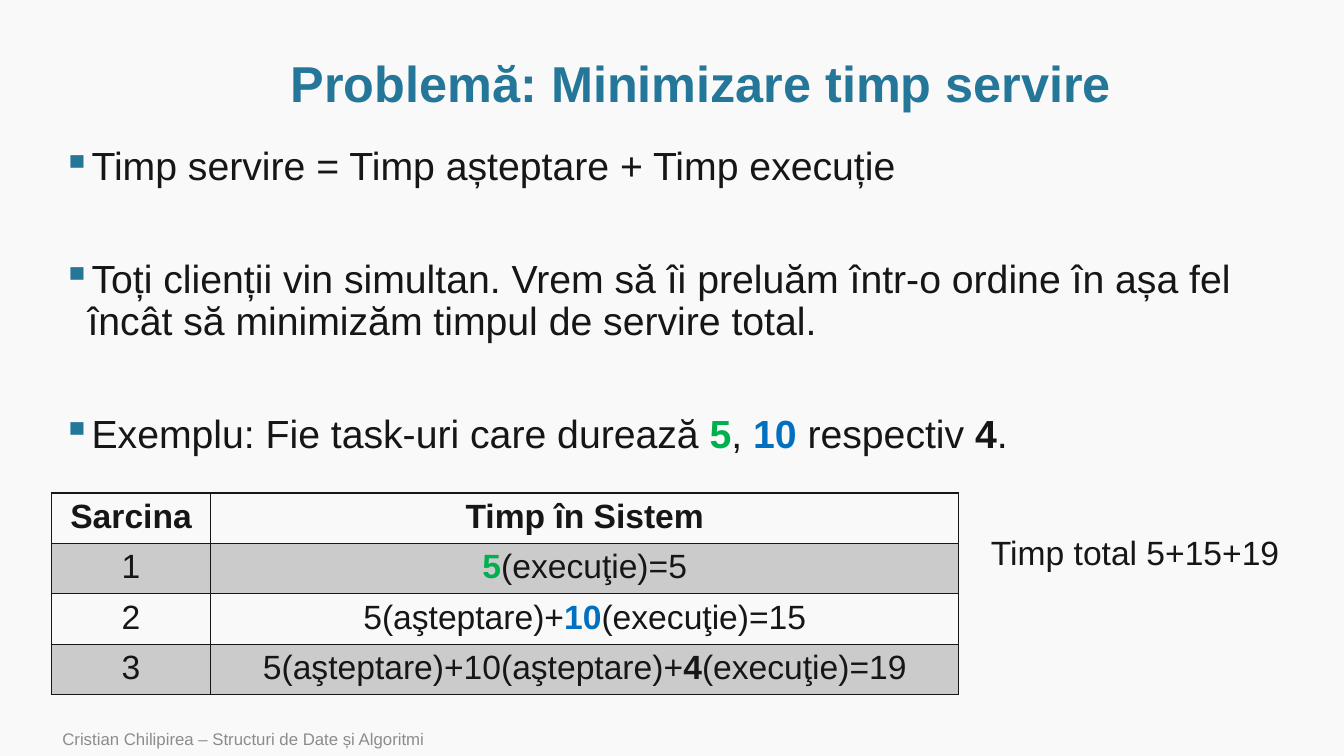
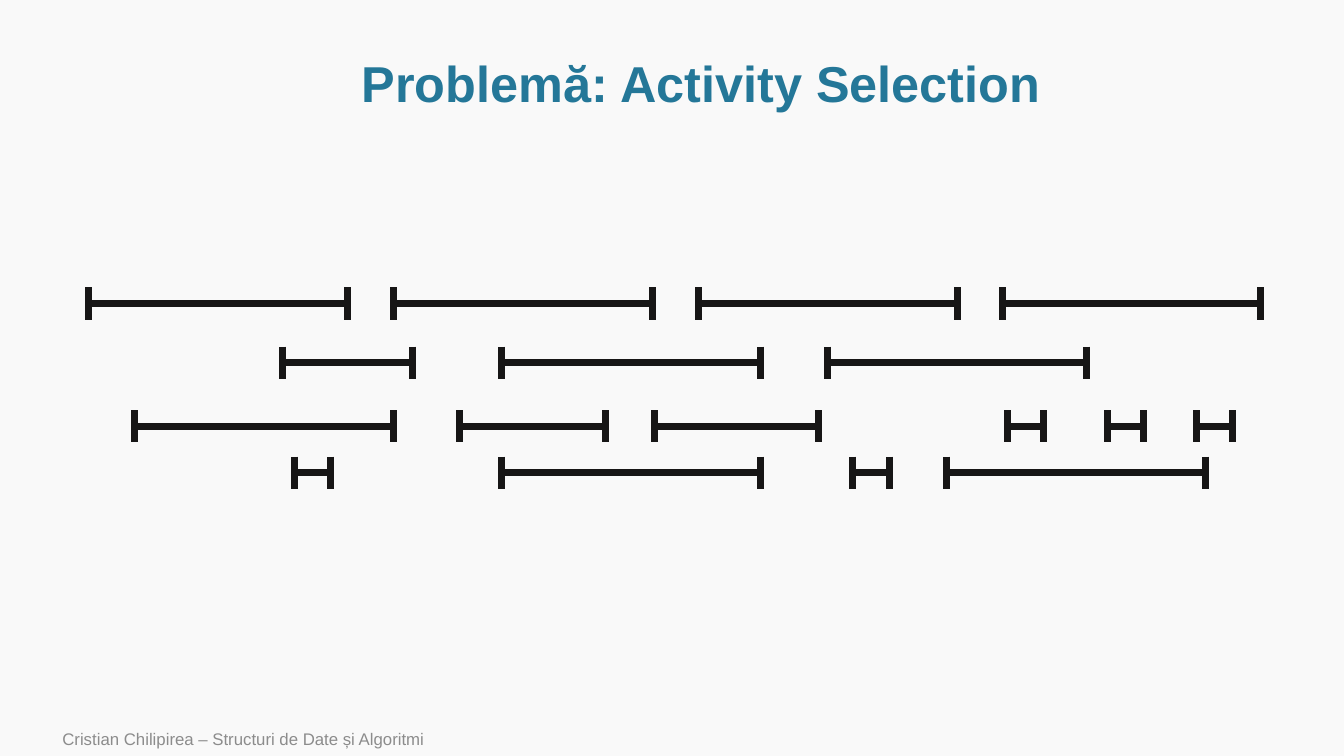
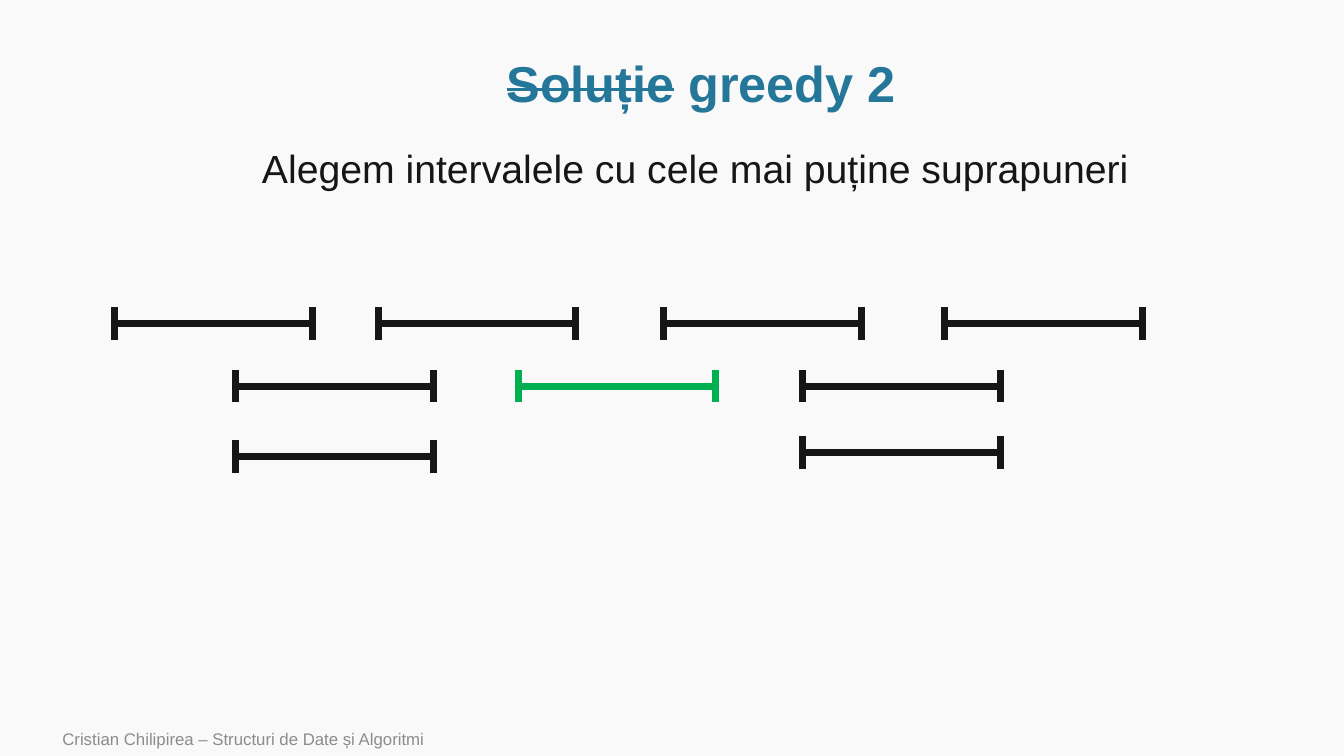
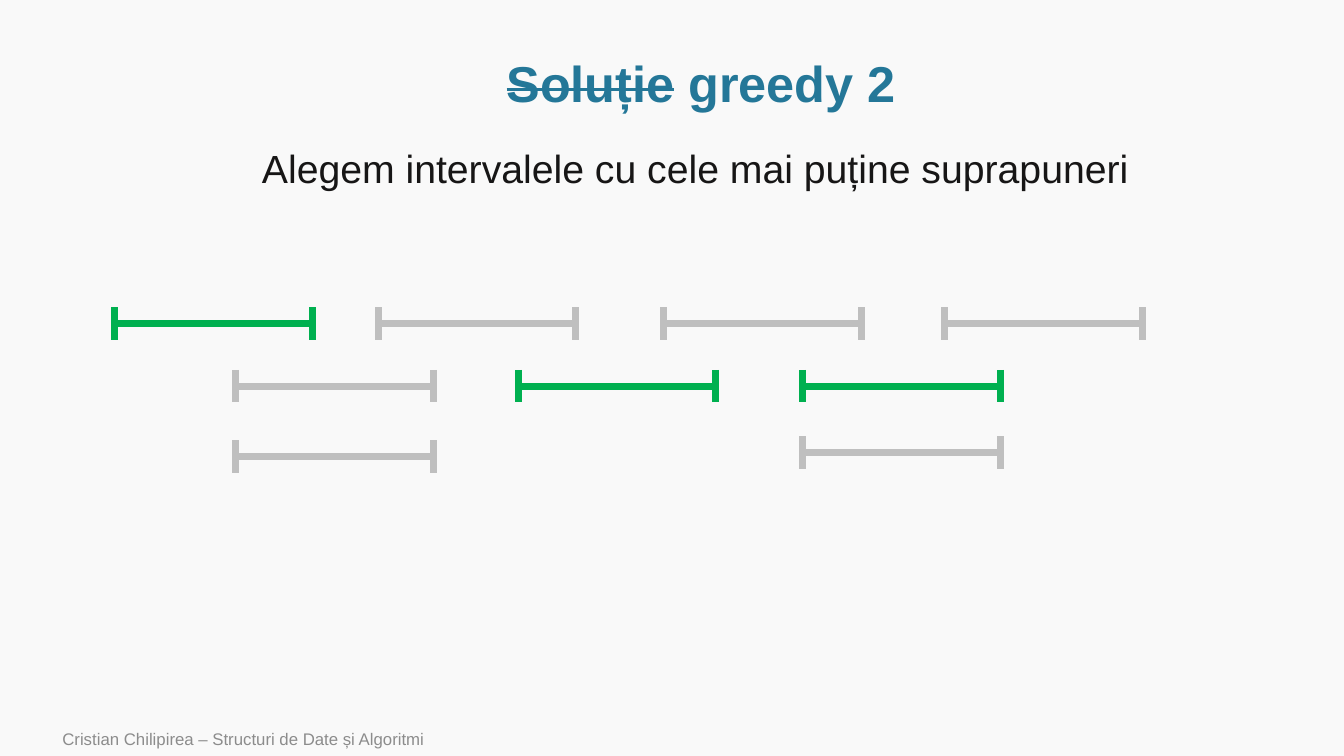
from lxml import etree
from pptx import Presentation
from pptx.dml.color import RGBColor
from pptx.enum.shapes import MSO_CONNECTOR
from pptx.enum.text import MSO_ANCHOR, PP_ALIGN
from pptx.oxml.ns import qn
from pptx.util import Inches, Pt

LINE = MSO_CONNECTOR.STRAIGHT
MIDDLE = MSO_ANCHOR.MIDDLE
TOP = MSO_ANCHOR.TOP
LEFT = PP_ALIGN.LEFT
CENTER = PP_ALIGN.CENTER

PAPER = RGBColor(0xF9, 0xF9, 0xF9)
INK = RGBColor(0x17, 0x16, 0x16)
TEAL = RGBColor(0x24, 0x77, 0x98)
GREEN = RGBColor(0x00, 0xB0, 0x50)
BLUE = RGBColor(0x00, 0x70, 0xC0)
GRAY = RGBColor(0x8C, 0x8C, 0x8C)
PALE = RGBColor(0xBF, 0xBF, 0xBF)
BAND = RGBColor(0xCC, 0xCB, 0xCB)

FONT = "Arial"
FOOTER = "Cristian Chilipirea – Structuri de Date și Algoritmi"
RULE = "Alegem intervalele cu cele mai puține suprapuneri"
CAP = 0.16
SPAN = 1.96

POINTS = [
    ["Timp servire = Timp așteptare + Timp execuție"],
    ["Toți clienții vin simultan. Vrem să îi preluăm într-o ordine în așa fel "
     "încât să minimizăm timpul de servire total."],
    ["Exemplu: Fie task-uri care durează ", ("5", GREEN), ", ", ("10", BLUE),
     " respectiv ", ("4", INK), "."],
]
TASKS = [
    (["Sarcina"], ["Timp în Sistem"]),
    (["1"], [("5", GREEN), "(execuţie)=5"]),
    (["2"], ["5(aşteptare)+", ("10", BLUE), "(execuţie)=15"]),
    (["3"], ["5(aşteptare)+10(aşteptare)+", ("4", INK), "(execuţie)=19"]),
]
ACTS = [
    (3.01, [(0.88, 3.45), (3.9, 6.47), (6.93, 9.5), (9.94, 12.5)]),
    (3.6, [(2.8, 4.09), (4.97, 7.54), (8.21, 10.78)]),
    (4.23, [(1.33, 3.9), (4.56, 6.01), (6.49, 8.12), (9.99, 10.35),
            (10.98, 11.34), (11.87, 12.22)]),
    (4.69, [(2.92, 3.28), (4.97, 7.54), (8.46, 8.82), (9.39, 11.96)]),
]
STARTS = [
    (1.14, 3.21), (3.75, 3.21), (6.58, 3.21), (9.37, 3.21),
    (2.34, 3.83), (5.14, 3.83), (7.96, 3.83),
    (2.34, 4.53), (7.96, 4.49),
]


def write(para, parts, size, color=INK, bold=False, align=LEFT):
    para.alignment = align
    font = para.font
    font.name, font.size, font.bold = FONT, Pt(size), bold
    font.color.rgb = color
    for part in parts:
        run = para.add_run()
        if isinstance(part, str):
            run.text = part
        else:
            run.text, run.font.color.rgb = part
            run.font.bold = True


def add_box(slide, x, y, w, h, anchor=TOP, wrap=True):
    box = slide.shapes.add_textbox(Inches(x), Inches(y), Inches(w), Inches(h))
    frame = box.text_frame
    frame.word_wrap = wrap
    frame.vertical_anchor = anchor
    return frame


def add_note(slide, x, y, w, h, text, size):
    frame = add_box(slide, x, y, w, h, wrap=False)
    write(frame.paragraphs[0], [text], size)


def add_page(deck, *title):
    slide = deck.slides.add_slide(deck.slide_layouts[6])
    fill = slide.background.fill
    fill.solid()
    fill.fore_color.rgb = PAPER
    foot = add_box(slide, 0.52, 7.16, 8.4, 0.34, MIDDLE)
    write(foot.paragraphs[0], [FOOTER], 12, GRAY)
    head = add_box(slide, 1.14, 0.51, 11.63, 0.69, MIDDLE).paragraphs[0]
    head.line_spacing = 0.9
    write(head, title, 36, TEAL, True, CENTER)
    return slide, head


def add_mark(para):
    props = para._p.get_or_add_pPr()
    props.set("marL", str(Inches(0.25)))
    props.set("indent", str(-Inches(0.25)))
    tint = etree.SubElement(props, qn("a:buClr"))
    etree.SubElement(tint, qn("a:srgbClr"), val=str(TEAL))
    etree.SubElement(props, qn("a:buChar"), char="▪")


def add_list(slide, points):
    frame = add_box(slide, 0.52, 1.41, 12.25, 5.48)
    for i, parts in enumerate(points):
        para = frame.add_paragraph() if i else frame.paragraphs[0]
        para.line_spacing = 0.9
        if i:
            para.space_before = Pt(50)
        add_mark(para)
        write(para, parts, 28)


def add_edges(cell):
    props = cell._tc.get_or_add_tcPr()
    for side in ("a:lnL", "a:lnR", "a:lnT", "a:lnB"):
        edge = etree.SubElement(props, qn(side), w=str(Pt(1)))
        fill = etree.SubElement(edge, qn("a:solidFill"))
        etree.SubElement(fill, qn("a:srgbClr"), val=str(INK))


def add_grid(slide, rows):
    high = 0.47
    table = slide.shapes.add_table(
        len(rows), 2, Inches(0.51), Inches(4.89),
        Inches(9), Inches(high * len(rows))).table
    table.first_row = table.horz_banding = False
    for col, wide in zip(table.columns, (1.58, 7.42)):
        col.width = Inches(wide)
    for r, row in enumerate(rows):
        for c, parts in enumerate(row):
            cell = table.cell(r, c)
            add_edges(cell)
            if r % 2:
                cell.fill.solid()
                cell.fill.fore_color.rgb = BAND
            else:
                cell.fill.background()
            para = cell.text_frame.paragraphs[0]
            write(para, parts, 24, bold=r == 0, align=CENTER)


def add_line(shapes, x1, y1, x2, y2, color):
    line = shapes.add_connector(
        LINE, Inches(x1), Inches(y1), Inches(x2), Inches(y2))
    line.line.color.rgb = color
    line.line.width = Pt(5)
    etree.SubElement(line._element.spPr, qn("a:effectLst"))


def add_span(slide, start, end, y, color=INK):
    shapes = slide.shapes.add_group_shape().shapes
    add_line(shapes, start, y, end, y, color)
    for x in (start, end):
        add_line(shapes, x, y - CAP, x, y + CAP, color)


def add_greedy(deck, picked, rest):
    slide, head = add_page(deck, "Soluție", " greedy 2")
    head.runs[0]._r.get_or_add_rPr().set("strike", "sngStrike")
    add_note(slide, 2.5, 1.38, 8.91, 0.57, RULE, 28)
    for i, (x, y) in enumerate(STARTS):
        add_span(slide, x, x + SPAN, y, GREEN if i in picked else rest)


def main():
    deck = Presentation()
    deck.slide_width, deck.slide_height = Inches(13.33), Inches(7.5)

    slide, _ = add_page(deck, "Problemă: Minimizare timp servire")
    add_list(slide, POINTS)
    add_grid(slide, TASKS)
    add_note(slide, 9.73, 5.23, 3.09, 0.5, "Timp total 5+15+19", 24)

    slide, _ = add_page(deck, "Problemă: Activity Selection")
    for y, spans in ACTS:
        for start, end in spans:
            add_span(slide, start, end, y)

    add_greedy(deck, {5}, INK)
    add_greedy(deck, {0, 5, 6}, PALE)
    deck.save("out.pptx")


if __name__ == "__main__":
    main()
